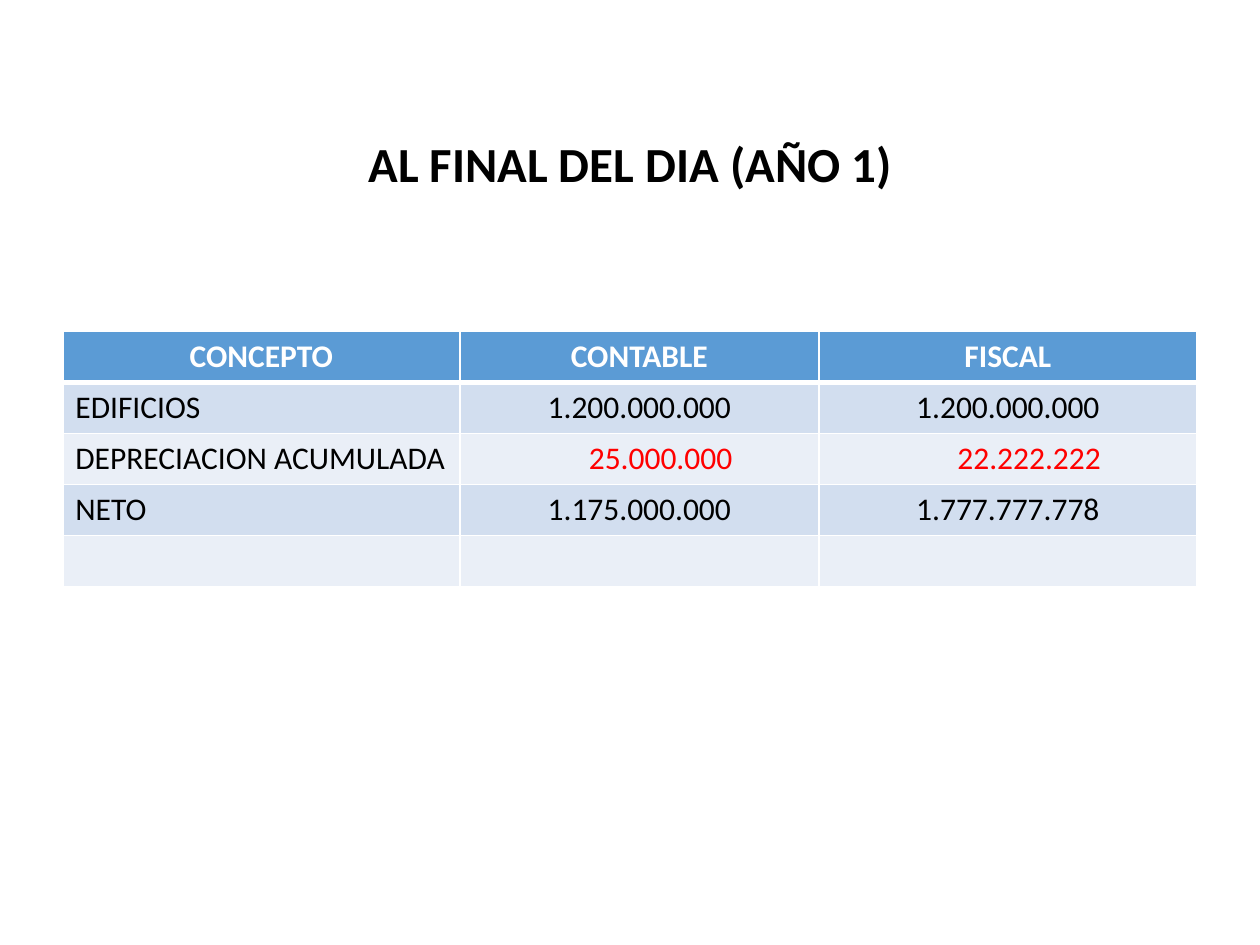
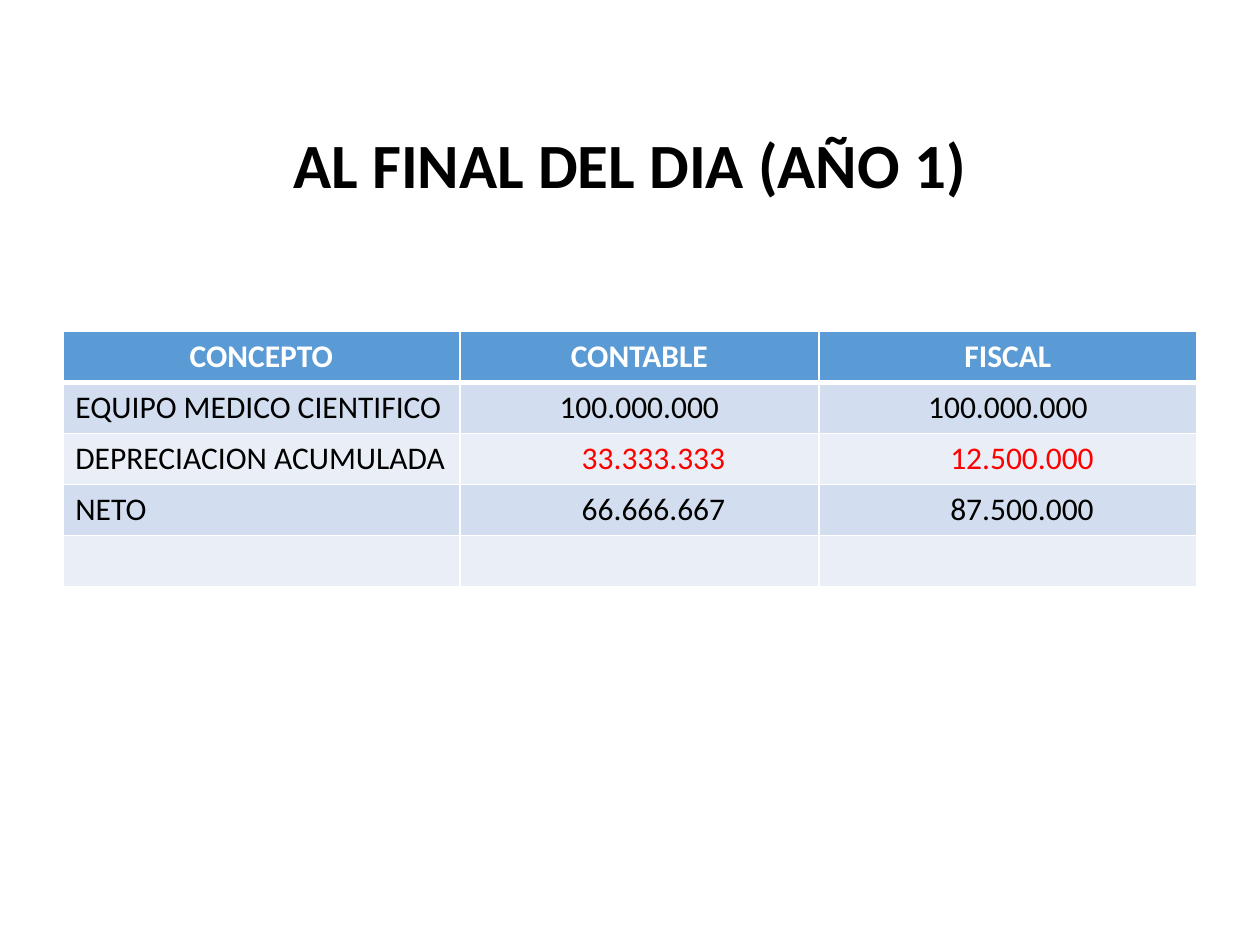
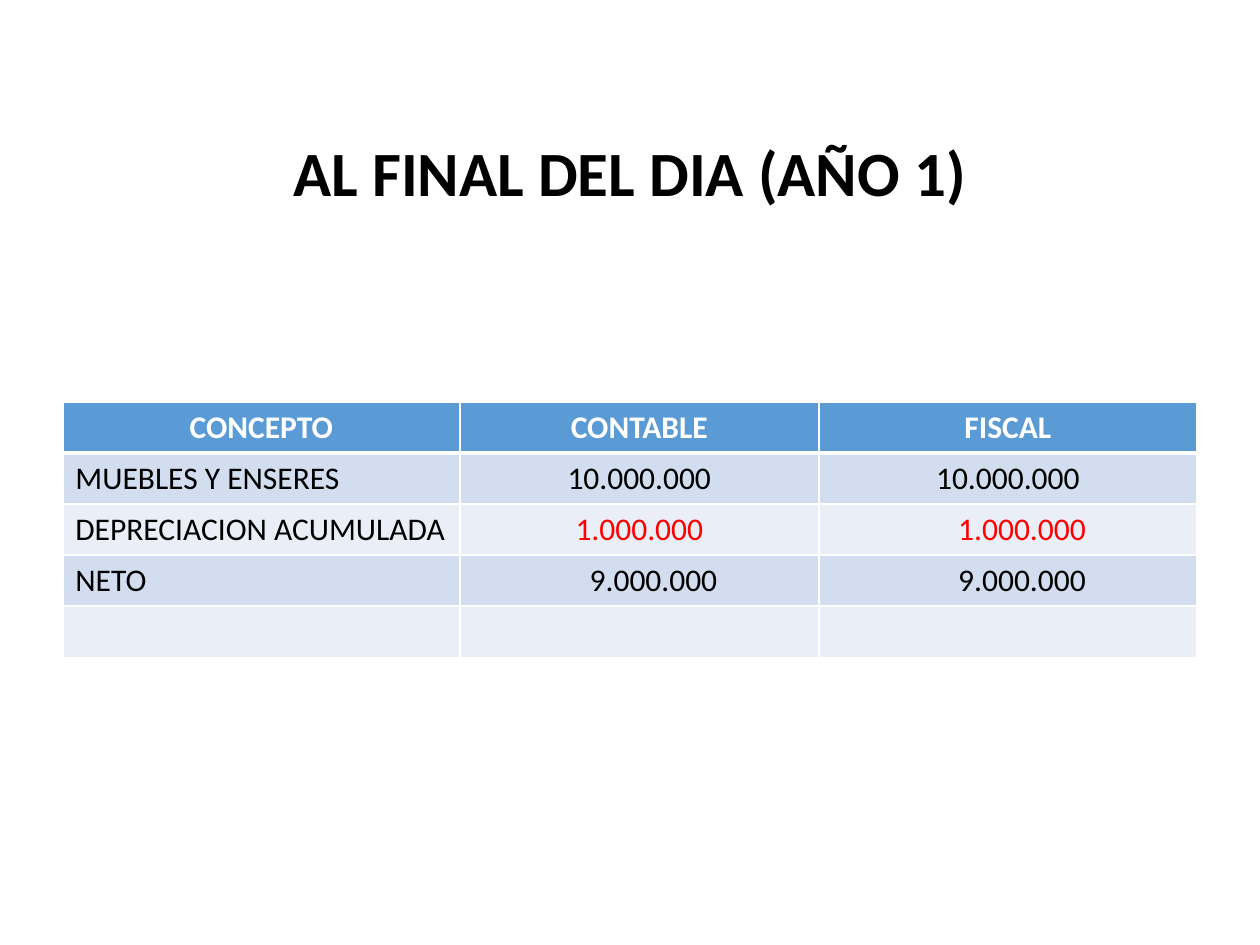
from dataclasses import dataclass

from lxml.etree import SubElement
from pptx import Presentation
from pptx.dml.color import RGBColor
from pptx.enum.text import MSO_ANCHOR as Anchor
from pptx.enum.text import MSO_AUTO_SIZE as AutoSize
from pptx.enum.text import PP_ALIGN as Align
from pptx.oxml.ns import qn
from pptx.util import Cm, Pt

BLACK = RGBColor(0x00, 0x00, 0x00)
WHITE = RGBColor(0xFF, 0xFF, 0xFF)
RED = RGBColor(0xFF, 0x00, 0x00)
HEADER_BLUE = RGBColor(0x5B, 0x9B, 0xD5)
BANDS = (RGBColor(0xD2, 0xDE, 0xEF), RGBColor(0xEA, 0xEF, 0xF7))

FONT = "Calibri"
TITLE = "AL FINAL DEL DIA (AÑO 1)"
HEADINGS = ("CONCEPTO", "CONTABLE", "FISCAL")
DEPRECIATION = "DEPRECIACION ACUMULADA"
LEFT, WIDTH = Cm(1.27), Cm(22.86)
TITLE_HEIGHT = Cm(0.96)
COLUMN_WIDTHS = (Cm(8), Cm(7.24), Cm(7.62))
ROW_HEIGHT, ROW_COUNT = Cm(1.03), 5
CELL_MARGIN = 0.25


@dataclass
class Entry:
    """A table row: its label, two amounts and the indent of each in cm."""
    label: str
    amounts: tuple
    indents: tuple = (0, 0)


@dataclass
class YearEnd:
    """The closing balance of one asset and where its parts stand."""
    title_top: float
    title_size: int
    table_top: float
    entries: tuple


BALANCES = (
    YearEnd(3.07, 28, 6.68, (
        Entry("EDIFICIOS", ("1.200.000.000", "1.200.000.000")),
        Entry(DEPRECIATION, ("25.000.000", "22.222.222"), (0.86, 0.86)),
        Entry("NETO", ("1.175.000.000", "1.777.777.778")),
    )),
    YearEnd(3.25, 36, 6.68, (
        Entry("EQUIPO MEDICO CIENTIFICO", ("100.000.000", "100.000.000")),
        Entry(DEPRECIATION, ("33.333.333", "12.500.000"), (0.57, 0.57)),
        Entry("NETO", ("66.666.667", "87.500.000"), (0.57, 0.57)),
    )),
    YearEnd(3.4, 36, 8.1, (
        Entry("MUEBLES Y ENSERES", ("10.000.000", "10.000.000")),
        Entry(DEPRECIATION, ("1.000.000", "1.000.000"), (0, 0.57)),
        Entry("NETO", ("9.000.000", "9.000.000"), (0.57, 0.57)),
    )),
)


def add_run(paragraph, text, size, color, bold=False):
    """Add one formatted run."""
    run = paragraph.add_run()
    run.text = text
    run.font.name = FONT
    run.font.size = Pt(size)
    run.font.bold = bold
    run.font.color.rgb = color


def place_title(slide, top, size):
    """Place and format the title placeholder."""
    title = slide.shapes.title
    title.left, title.top, title.width, title.height = LEFT, top, WIDTH, TITLE_HEIGHT
    frame = title.text_frame
    frame.auto_size = AutoSize.NONE
    frame.vertical_anchor = Anchor.BOTTOM
    paragraph = frame.paragraphs[0]
    paragraph.alignment = Align.CENTER
    paragraph.line_spacing = 0.9
    add_run(paragraph, TITLE, size, BLACK, bold=True)


def style_cell(cell, fill, bottom_width=1, top_width=1):
    """Give a cell its white borders and its fill."""
    properties = cell._tc.get_or_add_tcPr()
    widths = {"a:lnL": 1, "a:lnR": 1, "a:lnT": top_width, "a:lnB": bottom_width}
    for tag, width in widths.items():
        line = SubElement(properties, qn(tag), w=str(Pt(width)))
        solid = SubElement(line, qn("a:solidFill"))
        SubElement(solid, qn("a:srgbClr"), val=str(WHITE))
    cell.fill.solid()
    cell.fill.fore_color.rgb = fill


def write_cell(cell, text, color, alignment=Align.CENTER, indent=0, bold=False):
    """Write the text of a cell, shifted by its indent."""
    cell.margin_left = Cm(CELL_MARGIN + indent)
    paragraph = cell.text_frame.paragraphs[0]
    paragraph.alignment = alignment
    add_run(paragraph, text, 18, color, bold)


def place_table(slide, top, entries):
    """Place the comparison of book and tax values."""
    table = slide.shapes.add_table(
        ROW_COUNT, len(HEADINGS), LEFT, top, WIDTH, ROW_HEIGHT * ROW_COUNT).table
    for column, width in zip(table.columns, COLUMN_WIDTHS):
        column.width = width
    for index, row in enumerate(table.rows):
        row.height = ROW_HEIGHT
        for cell in row.cells:
            if index == 0:
                style_cell(cell, HEADER_BLUE, bottom_width=3)
            else:
                style_cell(cell, BANDS[(index - 1) % 2], top_width=3 if index == 1 else 1)
    for column, heading in enumerate(HEADINGS):
        write_cell(table.cell(0, column), heading, WHITE, bold=True)
    for row, entry in enumerate(entries, start=1):
        write_cell(table.cell(row, 0), entry.label, BLACK, Align.LEFT)
        color = RED if entry.label == DEPRECIATION else BLACK
        for column, (amount, indent) in enumerate(zip(entry.amounts, entry.indents), start=1):
            write_cell(table.cell(row, column), amount, color, indent=indent)


def main():
    """Build one slide for each asset and save the presentation."""
    presentation = Presentation()
    presentation.slide_width, presentation.slide_height = Cm(25.4), Cm(19.05)
    title_only = presentation.slide_layouts[5]
    for balance in BALANCES:
        slide = presentation.slides.add_slide(title_only)
        place_title(slide, Cm(balance.title_top), balance.title_size)
        place_table(slide, Cm(balance.table_top), balance.entries)
    presentation.save("out.pptx")


if __name__ == "__main__":
    main()
